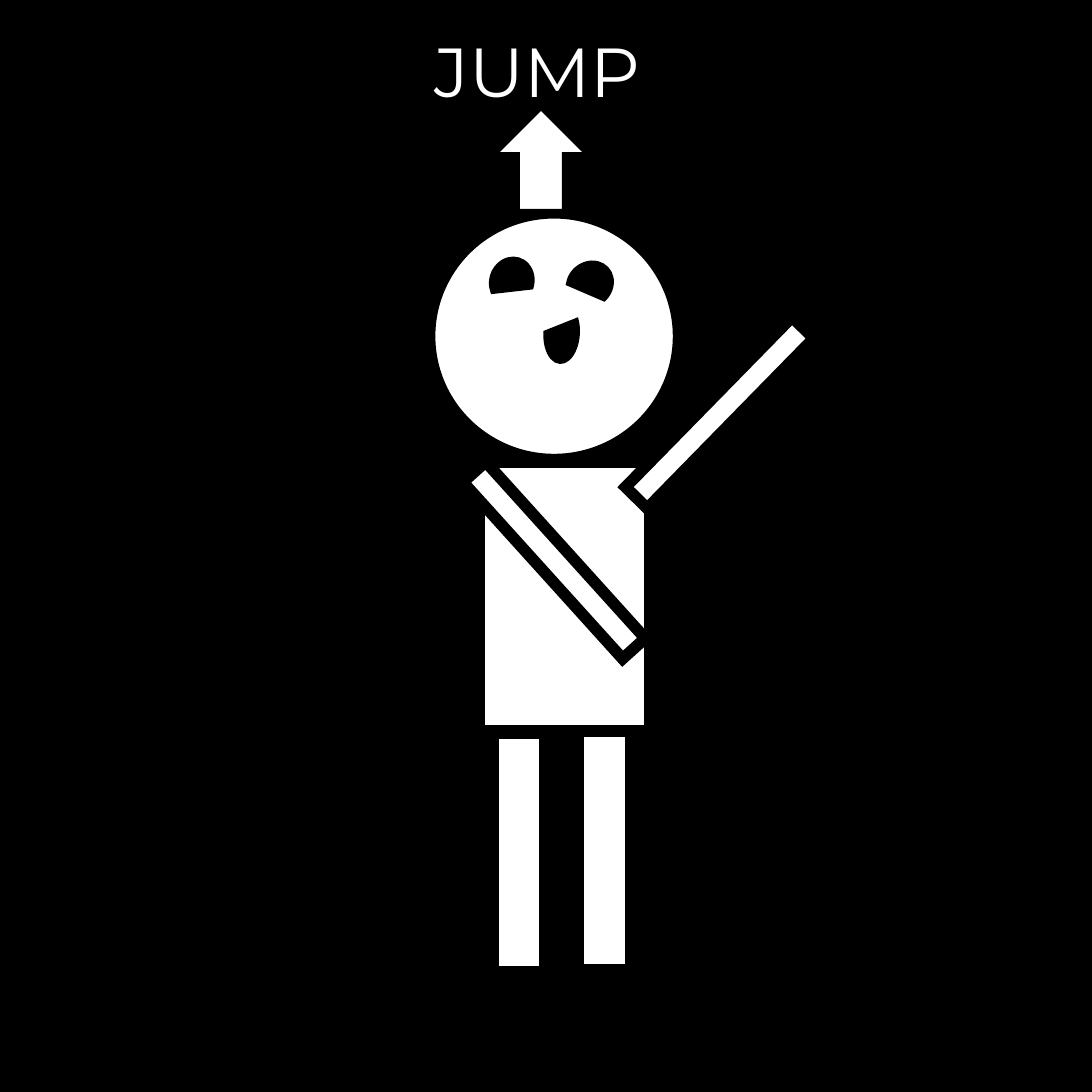
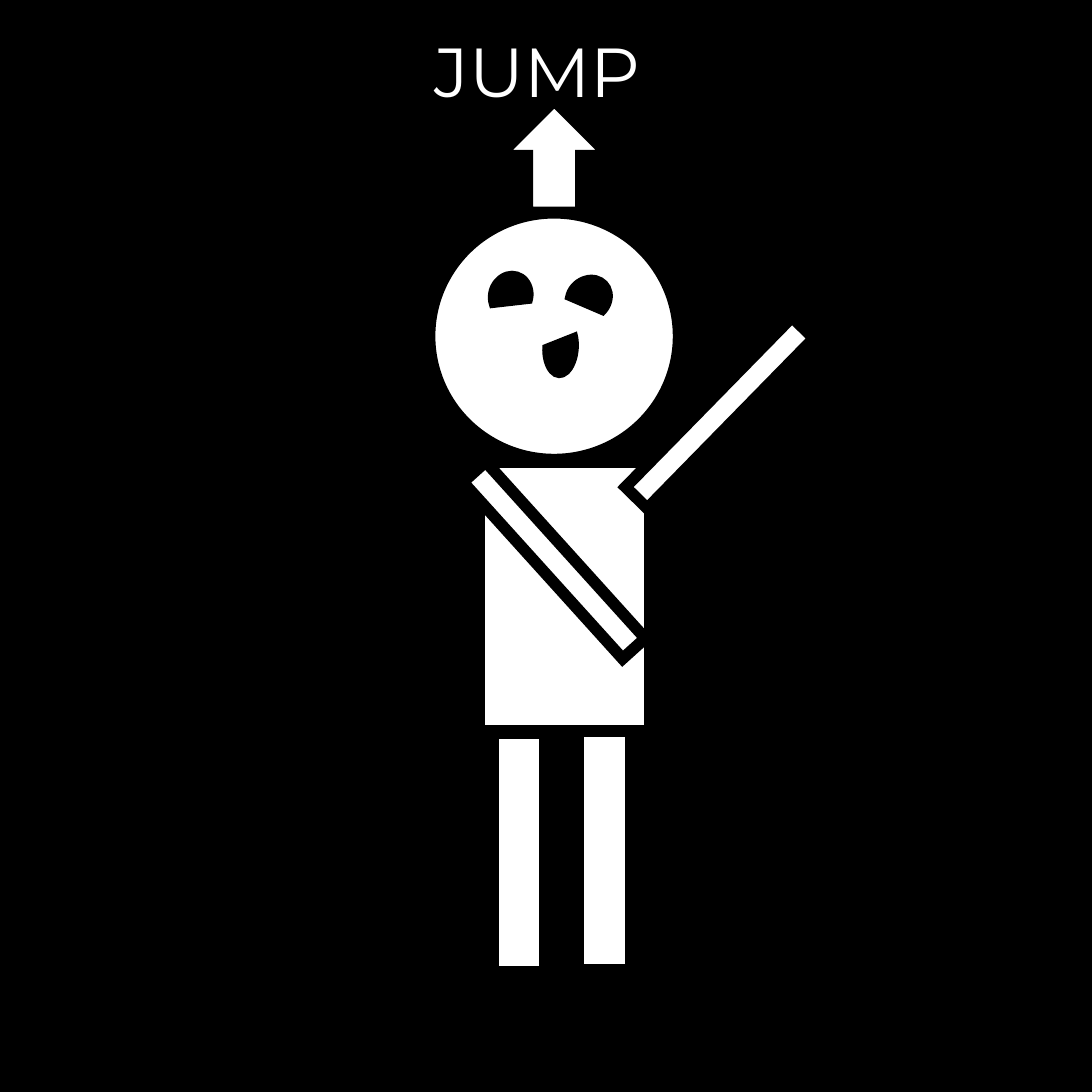
from lxml import etree
from pptx import Presentation
from pptx import util as u
from pptx.dml.color import RGBColor
from pptx.enum import shapes, text
from pptx.oxml.ns import qn

BLACK = RGBColor(0x00, 0x00, 0x00)
WHITE = RGBColor(0xFF, 0xFF, 0xFF)
SIDE = u.Inches(3.94)
GRID = 100  # columns and rows on the square slide
KIND = shapes.MSO_SHAPE

ARM = (21.8, 2.8)
LEG = (4.8, 21.8)
EYE = (4.3, 3.8)
MOUTH = (5.3, 3)

# centre, size, rotation
ARMS = [((50.75, 51.3), ARM, 227.9), ((65.9, 37.8), ARM, 134.4)]
LEGS = [((55.4, 77.9), LEG, 0), ((47.55, 78.1), LEG, 0)]
FACE = [((46.85, 25.8), EYE, 106.7),
        ((54, 26.05), EYE, 136.4),
        ((51.45, 30.5), MOUTH, 273.4)]

# arrow centre, shift of the face
POSES = [((49.55, 14.6), (0, 0)), ((50.75, 14.4), (-0.1, 1.3))]


def grid(units):
    return u.Emu(round(SIDE * units / GRID))


class Figure:
    font = {"name": "Montserrat", "size": u.Pt(18)}

    def __init__(self, deck):
        self.slide = deck.slides.add_slide(deck.slide_layouts[6])
        fill = self.slide.background.fill
        fill.solid()
        fill.fore_color.rgb = BLACK

    def piece(self, kind, centre, size, rotation=0, color=WHITE, outline=1):
        """Adds a shape by its centre, with a sharp black outline."""
        corner = [c - s / 2 for c, s in zip(centre, size)]
        shape = self.slide.shapes.add_shape(
            kind, *(grid(v) for v in (*corner, *size)))
        shape.rotation = rotation
        shape.shadow.inherit = False
        shape.fill.solid()
        shape.fill.fore_color.rgb = color
        shape.line.color.rgb = BLACK
        shape.line.width = u.Pt(outline)
        line = shape.element.spPr.find(qn("a:ln"))
        etree.SubElement(line, qn("a:miter"), lim="800000")

    def label(self, words, left, top, width, height):
        frame = self.slide.shapes.add_textbox(
            *(grid(v) for v in (left, top, width, height))).text_frame
        frame.word_wrap = True
        frame.auto_size = text.MSO_AUTO_SIZE.SHAPE_TO_FIT_TEXT
        run = frame.paragraphs[0].add_run()
        run.text = words
        for key, value in self.font.items():
            setattr(run.font, key, value)
        run.font.color.rgb = WHITE

    def body(self):
        self.piece(KIND.RECTANGLE, (51.7, 54.65), (15, 23.9))
        self.piece(KIND.OVAL, (50.75, 30.8), (22.8, 22.6), outline=3)
        for limb in ARMS + LEGS:
            self.piece(KIND.RECTANGLE, *limb, outline=3)

    def face(self, shift):
        for centre, size, rotation in FACE:
            moved = [c + d for c, d in zip(centre, shift)]
            self.piece(KIND.CHORD, moved, size, rotation, color=BLACK)


def main():
    deck = Presentation()
    deck.slide_width = deck.slide_height = SIDE
    for arrow, shift in POSES:
        figure = Figure(deck)
        figure.body()
        figure.piece(KIND.UP_ARROW, arrow, (8.4, 9.4))
        figure.label("JUMP", 37.3, 1.3, 25.1, 10.2)
        figure.face(shift)
    deck.save("out.pptx")


if __name__ == "__main__":
    main()
